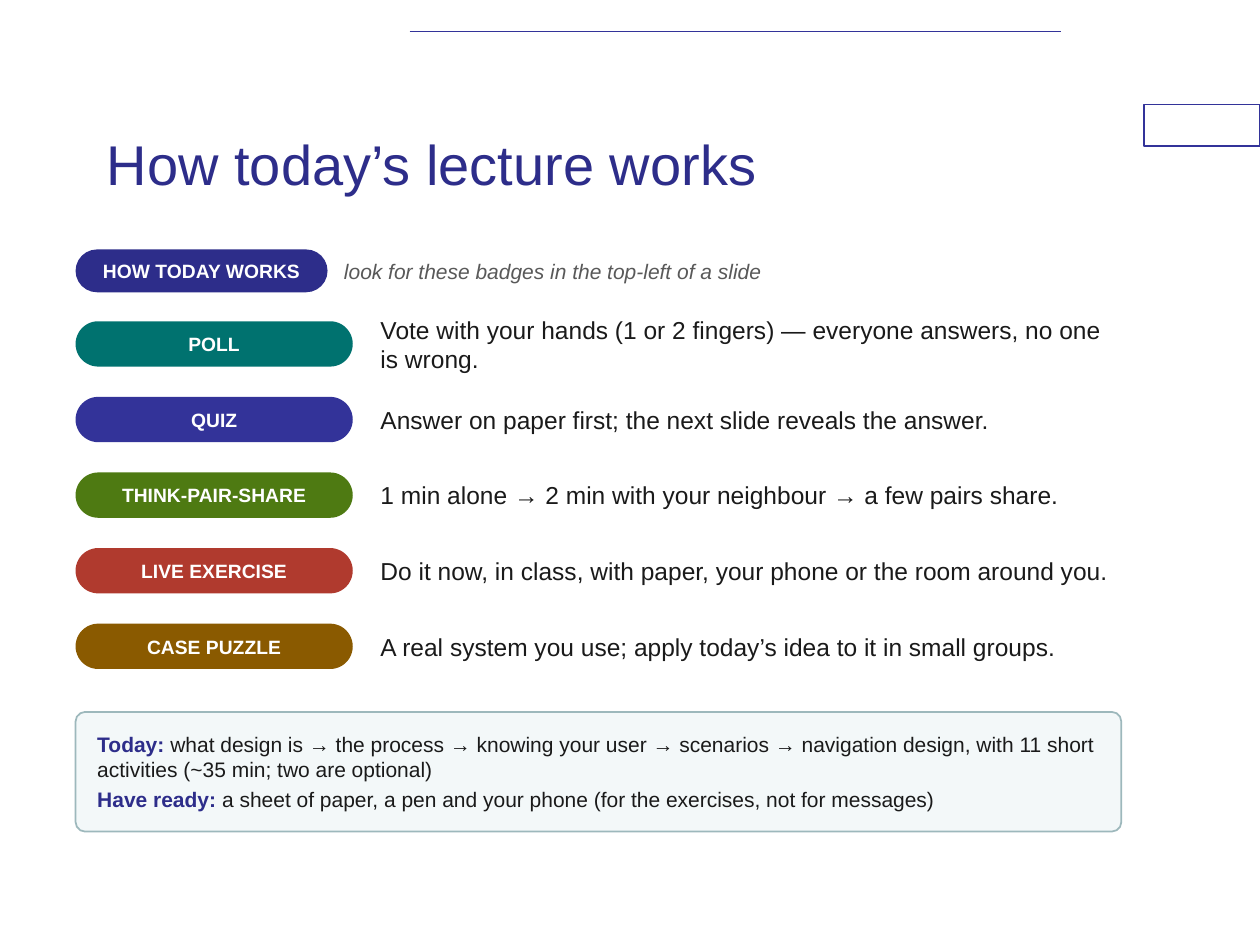
from dataclasses import dataclass

from lxml import etree
from pptx import Presentation
from pptx import util as u
from pptx.dml.color import RGBColor
from pptx.enum import shapes, text
from pptx.oxml.ns import qn

COLOURS = {
    "navy": "2D2D8A", "indigo": "333399", "teal": "00726F", "green": "4E7A12",
    "red": "B03A2E", "brown": "8A5A00", "ink": "1A1A1A", "grey": "595959",
    "white": "FFFFFF", "panel": "F3F8F9", "panel_edge": "9DB8BC",
}
LEFT = 0.6
FIRST_ROW, ROW_STEP = 2.55, 0.6
ROW_BADGE_HEIGHT, ROW_TEXT_HEIGHT = 0.36, 0.5


@dataclass
class Box:
    left: float
    top: float
    width: float
    height: float

    def lengths(self) -> list[u.Length]:
        return [u.Inches(n) for n in (self.left, self.top, self.width, self.height)]


@dataclass
class Run:
    words: str
    size: float
    colour: str
    bold: bool = False
    italic: bool = False


@dataclass
class Activity:
    badge: str
    colour: str
    rule: str


ACTIVITIES = [
    Activity("POLL", "teal",
             "Vote with your hands (1 or 2 fingers) — everyone answers, no one is wrong."),
    Activity("QUIZ", "indigo", "Answer on paper first; the next slide reveals the answer."),
    Activity("THINK-PAIR-SHARE", "green",
             "1 min alone → 2 min with your neighbour → a few pairs share."),
    Activity("LIVE EXERCISE", "red",
             "Do it now, in class, with paper, your phone or the room around you."),
    Activity("CASE PUZZLE", "brown",
             "A real system you use; apply today’s idea to it in small groups."),
]
SUMMARY = [
    ("Today: ", "what design is → the process → knowing your user → scenarios → "
                "navigation design, with 11 short activities (~35 min; two are optional)"),
    ("Have ready: ", "a sheet of paper, a pen and your phone "
                     "(for the exercises, not for messages)"),
]


def rgb(name: str) -> RGBColor:
    return RGBColor.from_string(COLOURS[name])


def write(shape, paragraphs: list[list[Run]], inset: float,
          align=text.PP_ALIGN.LEFT, gap: float = 0) -> None:
    frame = shape.text_frame
    frame.word_wrap = True
    frame.vertical_anchor = text.MSO_ANCHOR.MIDDLE
    frame.margin_left = frame.margin_right = u.Inches(inset)
    frame.margin_top = frame.margin_bottom = u.Inches(inset)
    for number, runs in enumerate(paragraphs):
        paragraph = frame.add_paragraph() if number else frame.paragraphs[0]
        paragraph.alignment = align
        if number:
            paragraph.space_before = u.Pt(gap)
        for item in runs:
            run = paragraph.add_run()
            run.text = item.words
            run.font.name = "Arial"
            run.font.size = u.Pt(item.size)
            run.font.bold = item.bold
            run.font.italic = item.italic
            run.font.color.rgb = rgb(item.colour)


def add_label(slide, box: Box, run: Run, inset: float = 0.02) -> None:
    write(slide.shapes.add_textbox(*box.lengths()), [[run]], inset)


def add_panel(slide, box: Box, fill: str, edge: str | None = None,
              edge_width: float = 1, rounding: float | None = None):
    kind = shapes.MSO_SHAPE.RECTANGLE
    if rounding is not None:
        kind = shapes.MSO_SHAPE.ROUNDED_RECTANGLE
    panel = slide.shapes.add_shape(kind, *box.lengths())
    panel.shadow.inherit = False
    panel.fill.solid()
    panel.fill.fore_color.rgb = rgb(fill)
    if rounding is not None:
        panel.adjustments[0] = rounding
    if edge:
        panel.line.color.rgb = rgb(edge)
        panel.line.width = u.Pt(edge_width)
    else:
        panel.line.fill.background()
    return panel


def add_badge(slide, box: Box, words: str, colour: str) -> None:
    badge = add_panel(slide, box, colour, rounding=0.5)
    write(badge, [[Run(words, 11, "white", bold=True)]], 0.03, text.PP_ALIGN.CENTER)


def add_top_rule(slide) -> None:
    rule = slide.shapes.add_connector(
        shapes.MSO_CONNECTOR.STRAIGHT,
        u.Inches(3.25), u.Inches(0.25), u.Inches(8.42), u.Inches(0.25))
    rule.line.color.rgb = rgb("indigo")
    rule.line.width = u.Pt(1)
    etree.SubElement(rule.element.spPr, qn("a:effectLst"))


def main() -> None:
    deck = Presentation()
    deck.slide_width, deck.slide_height = u.Inches(10), u.Inches(7.5)
    slide = deck.slides.add_slide(deck.slide_layouts[6])

    # Frame decoration and title
    add_panel(slide, Box(9.08, 0.83, 0.92, 0.33), "white", "indigo", 0.75)
    add_top_rule(slide)
    add_label(slide, Box(0.75, 0.67, 7.5, 1.25),
              Run("How today’s lecture works", 32, "navy"), inset=0.1)

    # Heading badge with its hint
    add_badge(slide, Box(LEFT, 1.98, 2, 0.34), "HOW TODAY WORKS", "navy")
    add_label(slide, Box(2.71, 1.98, 6.18, 0.34),
              Run("look for these badges in the top-left of a slide", 12, "grey", italic=True))

    # One row per activity, rule text centred on its badge
    text_offset = (ROW_BADGE_HEIGHT - ROW_TEXT_HEIGHT) / 2
    for row, activity in enumerate(ACTIVITIES):
        top = FIRST_ROW + row * ROW_STEP
        add_badge(slide, Box(LEFT, top, 2.2, ROW_BADGE_HEIGHT),
                  activity.badge, activity.colour)
        add_label(slide, Box(3, top + text_offset, 5.9, ROW_TEXT_HEIGHT),
                  Run(activity.rule, 14, "ink"))

    # Summary of the session
    summary = add_panel(slide, Box(LEFT, 5.65, 8.3, 0.95), "panel", "panel_edge",
                        rounding=0.08)
    write(summary, [[Run(lead, 12, "navy", bold=True), Run(detail, 12, "ink")]
                    for lead, detail in SUMMARY], 0.15, gap=3)

    deck.save("out.pptx")


if __name__ == "__main__":
    main()
